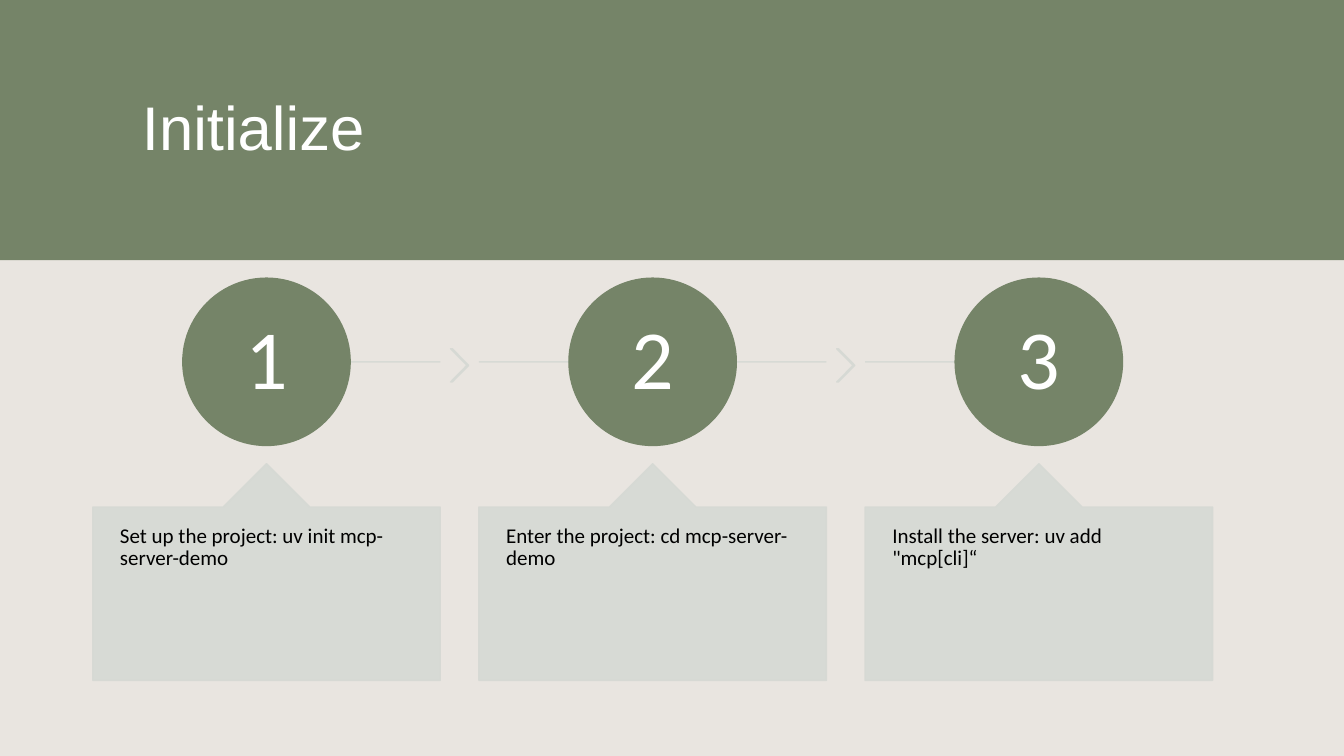
from dataclasses import dataclass

from lxml.etree import SubElement
from pptx import Presentation
from pptx.dml.color import RGBColor
from pptx.enum.shapes import MSO_CONNECTOR, MSO_SHAPE
from pptx.enum.text import MSO_ANCHOR, PP_ALIGN
from pptx.oxml.ns import qn
from pptx.util import Inches, Pt

WHITE, BLACK = "FFFFFF", "000000"
SAND, OLIVE, MIST = "E0DAD4", "758468", "D6D9D4"

# Grid: three columns, each nine tenths card and one tenth gap
SLIDE_W, SLIDE_H = 13.33, 7.5
LEFT, COLUMN = 0.92, 3.83
CARD_W = 0.9 * COLUMN
CIRCLE = 1.66
CIRCLE_TOP, LINE_Y, CARD_TOP, CARD_H = 2.76, 3.59, 4.6, 2.15
CHEVRON_W, CHEVRON_H, CHEVRON_TOP = 0.18, 0.33, 3.46


@dataclass(frozen=True)
class Box:
    left: float
    top: float
    width: float
    height: float

    def emu(self) -> list:
        return [Inches(v) for v in (self.left, self.top, self.width, self.height)]


@dataclass(frozen=True)
class TextStyle:
    font: dict
    color: str
    frame: dict
    paragraph: dict


def margins(side: float, top: float) -> dict:
    return {"margin_left": Inches(side), "margin_right": Inches(side),
            "margin_top": Inches(top), "margin_bottom": Inches(top)}


TITLE = TextStyle({"name": "Arial", "size": Pt(44)}, WHITE,
                  {"vertical_anchor": MSO_ANCHOR.MIDDLE, **margins(0.1, 0.05)},
                  {"alignment": PP_ALIGN.LEFT, "line_spacing": 0.9})
NUMBER = TextStyle({"name": "Calibri", "size": Pt(60)}, WHITE,
                   {"vertical_anchor": MSO_ANCHOR.MIDDLE, **margins(0.06, 0.06)},
                   {"alignment": PP_ALIGN.CENTER, "line_spacing": 0.9})
STEP = TextStyle({"name": "Calibri", "size": Pt(15)}, BLACK,
                 {"vertical_anchor": MSO_ANCHOR.TOP, **margins(0.27, 0.18)},
                 {"alignment": PP_ALIGN.LEFT, "line_spacing": 0.9})

STEPS = [
    "Set up the project: uv init mcp-server-demo",
    "Enter the project: cd mcp-server-demo",
    'Install the server: uv add "mcp[cli]“',
]


def rgb(color: str) -> RGBColor:
    return RGBColor.from_string(color)


def apply(target, values: dict) -> None:
    for name, value in values.items():
        setattr(target, name, value)


def set_opacity(part, percent: int) -> None:
    for color in part.element.spPr.iter(qn("a:srgbClr")):
        SubElement(color, qn("a:alpha"), val=str(percent * 1000))


def write(part, text: str, style: TextStyle) -> None:
    frame = part.text_frame
    apply(frame, {"word_wrap": True, **style.frame})
    paragraph = frame.paragraphs[0]
    apply(paragraph, style.paragraph)
    run = paragraph.add_run()
    run.text = text
    apply(run.font, style.font)
    run.font.color.rgb = rgb(style.color)


def add_part(slide, kind: MSO_SHAPE, box: Box, color: str, opacity: int = 100,
             outlined: bool = True, adjust: tuple = ()):
    part = slide.shapes.add_shape(kind, *box.emu())
    part.shadow.inherit = False
    for index, value in enumerate(adjust):
        part.adjustments[index] = value
    part.fill.solid()
    part.fill.fore_color.rgb = rgb(color)
    if outlined:
        part.line.color.rgb = rgb(color)
        part.line.width = Pt(1)
    else:
        part.line.fill.background()
    if opacity < 100:
        set_opacity(part, opacity)
    return part


def add_track(slide, start: float, end: float) -> None:
    track = slide.shapes.add_connector(MSO_CONNECTOR.STRAIGHT, Inches(start), Inches(LINE_Y),
                                       Inches(end), Inches(LINE_Y))
    track.line.color.rgb = rgb(MIST)
    track.line.width = Pt(1)
    set_opacity(track, 90)
    SubElement(track.element.spPr, qn("a:effectLst"))


def add_step(slide, index: int, text: str) -> None:
    left = LEFT + index * COLUMN
    center = left + CARD_W / 2
    first, last = index == 0, index == len(STEPS) - 1

    # Track behind the circle, and the chevron in the gap
    add_track(slide, center if first else left, center if last else left + CARD_W)
    if not last:
        gap_center = left + (CARD_W + COLUMN) / 2
        add_part(slide, MSO_SHAPE.CHEVRON,
                 Box(gap_center - CHEVRON_W / 2, CHEVRON_TOP, CHEVRON_W, CHEVRON_H),
                 MIST, 90, adjust=(0.9,))

    # Numbered circle
    circle = add_part(slide, MSO_SHAPE.OVAL,
                      Box(center - CIRCLE / 2, CIRCLE_TOP, CIRCLE, CIRCLE), OLIVE)
    write(circle, str(index + 1), NUMBER)

    # Card pointing up at the circle
    card = add_part(slide, MSO_SHAPE.UP_ARROW_CALLOUT, Box(left, CARD_TOP, CARD_W, CARD_H),
                    MIST, 90, adjust=(0.5, 0.2, 0.2, 1))
    write(card, text, STEP)


def main() -> None:
    deck = Presentation()
    deck.slide_width, deck.slide_height = Inches(SLIDE_W), Inches(SLIDE_H)
    slide = deck.slides.add_slide(deck.slide_layouts[6])

    # Background tint and title band
    slide.background.fill.solid()
    slide.background.fill.fore_color.rgb = rgb(WHITE)
    add_part(slide, MSO_SHAPE.RECTANGLE, Box(0, 0, SLIDE_W, SLIDE_H), SAND, 70, outlined=False)
    add_part(slide, MSO_SHAPE.RECTANGLE, Box(0, 0, SLIDE_W, 2.58), OLIVE, outlined=False)
    title = slide.shapes.add_textbox(*Box(1.31, 0.42, 10.94, 1.75).emu())
    write(title, "Initialize", TITLE)

    # Steps
    for index, text in enumerate(STEPS):
        add_step(slide, index, text)

    deck.save("out.pptx")


if __name__ == "__main__":
    main()
